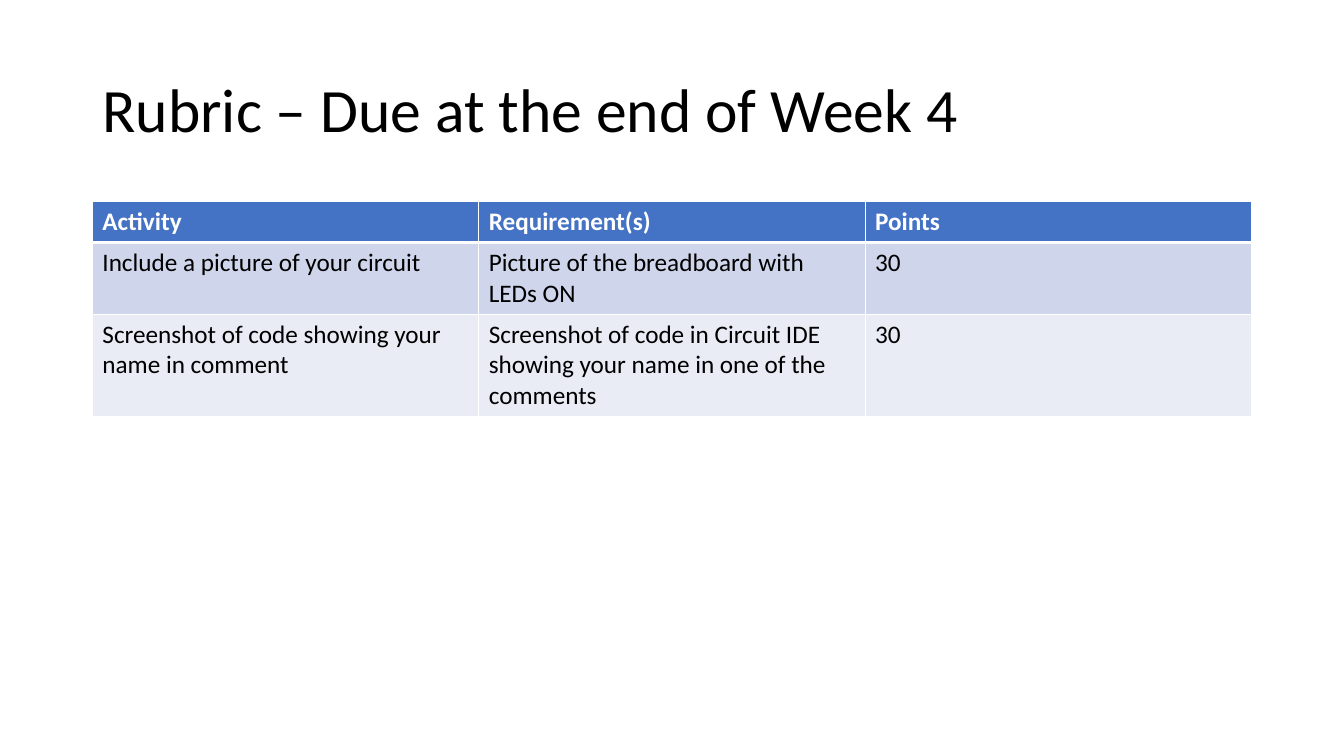
from lxml.etree import SubElement
from pptx import Presentation
from pptx.dml.color import RGBColor
from pptx.enum.text import MSO_ANCHOR, MSO_AUTO_SIZE, PP_ALIGN
from pptx.oxml.ns import qn
from pptx.util import Pt

PX = 9525  # EMU per px, 96 px to the inch
FONT = "Calibri"
COLORS = {
    "text": "000000",
    "white": "FFFFFF",
    "header": "4472C4",
    "odd_row": "CFD5EA",
    "even_row": "E9EBF5",
}
RUBRIC = [
    ("Activity", "Requirement(s)", "Points"),
    ("Include a picture of your circuit",
     "Picture of the breadboard with LEDs ON", "30"),
    ("Screenshot of code showing your name in comment",
     "Screenshot of code in Circuit IDE showing your name in one of the comments",
     "30"),
]


def px(length):
    return length * PX


def color(name):
    return RGBColor.from_string(COLORS[name])


def write(frame, text, size=18, fill="text", bold=False, spacing=1.0):
    para = frame.paragraphs[0]
    para.alignment = PP_ALIGN.LEFT
    para.line_spacing = spacing
    span = para.add_run()
    span.text = text
    span.font.name = FONT
    span.font.size = Pt(size)
    span.font.bold = bold
    span.font.color.rgb = color(fill)


def add_title(page, text):
    title = page.shapes.title
    title.left, title.top, title.width, title.height = map(px, (88, 38, 1104, 139))
    frame = title.text_frame
    frame.auto_size = MSO_AUTO_SIZE.NONE
    frame.vertical_anchor = MSO_ANCHOR.MIDDLE
    write(frame, text, size=44, spacing=0.9)


def set_borders(cell, top=1, bottom=1):
    properties = cell._tc.get_or_add_tcPr()
    for side, width in (("L", 1), ("R", 1), ("T", top), ("B", bottom)):
        line = SubElement(properties, qn(f"a:ln{side}"), w=str(Pt(width)))
        fill = SubElement(line, qn("a:solidFill"))
        SubElement(fill, qn("a:srgbClr"), val=COLORS["white"])


def add_rubric(page, rows):
    row_height, column_width = 39, 368
    count, columns = len(rows), len(rows[0])
    table = page.shapes.add_table(
        count, columns, px(88), px(192),
        px(column_width * columns), px(row_height * count)).table
    for r, texts in enumerate(rows):
        header = r == 0
        band = "header" if header else "odd_row" if r % 2 else "even_row"
        for c, text in enumerate(texts):
            cell = table.cell(r, c)
            # The heavy rule lies between the header and the first row
            set_borders(cell, top=3 if r == 1 else 1, bottom=3 if header else 1)
            cell.fill.solid()
            cell.fill.fore_color.rgb = color(band)
            write(cell.text_frame, text, bold=header,
                  fill="white" if header else "text")


def main():
    deck = Presentation()
    deck.slide_width, deck.slide_height = px(1280), px(720)
    page = deck.slides.add_slide(deck.slide_layouts[5])  # title only
    add_title(page, "Rubric – Due at the end of Week 4")
    add_rubric(page, RUBRIC)
    deck.save("out.pptx")


if __name__ == "__main__":
    main()
